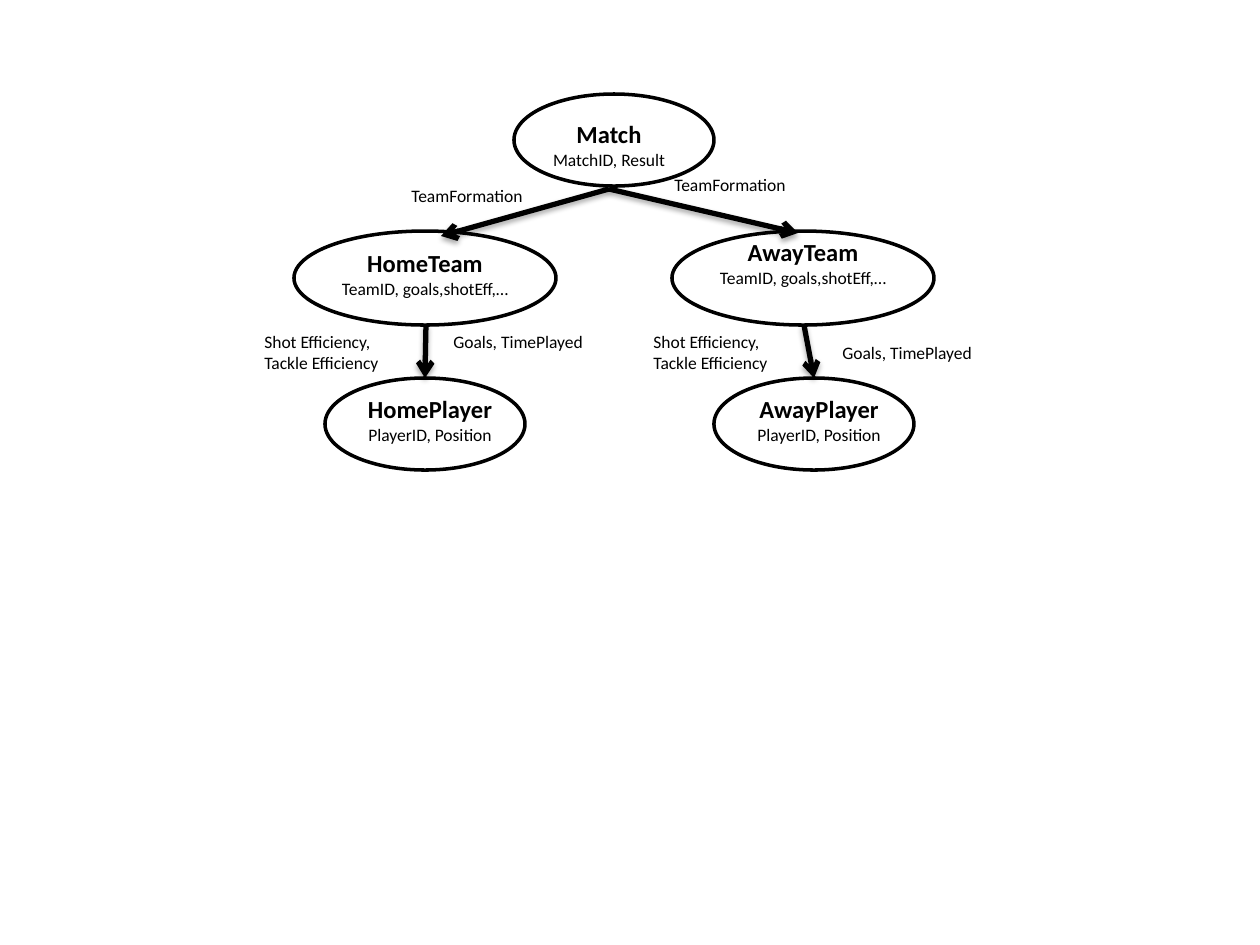
"""Builds a slide with an entity diagram of a match, its teams and their players."""
from lxml import etree
from pptx import Presentation
from pptx.dml.color import RGBColor
from pptx.enum.shapes import MSO_CONNECTOR, MSO_SHAPE
from pptx.enum.text import MSO_AUTO_SIZE, PP_ALIGN
from pptx.oxml import parse_xml
from pptx.oxml.ns import nsdecls, qn
from pptx.util import Emu, Inches, Pt

BLACK = RGBColor(0, 0, 0)
SCALE = 914400 / 126
SHADOW = (
    f'<a:effectLst {nsdecls("a")}>'
    '<a:outerShdw blurRad="40000" dist="23000" dir="5400000" rotWithShape="0">'
    '<a:srgbClr val="000000"><a:alpha val="35000"/></a:srgbClr>'
    '</a:outerShdw></a:effectLst>'
)


def px(*lengths):
    return [Emu(round(length * SCALE)) for length in lengths]


class Diagram:
    font = "Calibri"
    name_size, detail_size = 14, 10
    outline, arrow_width = 2, 3

    def __init__(self, slide):
        self.slide = slide

    def text(self, shapes, box, lines, align=PP_ALIGN.LEFT):
        frame = shapes.add_textbox(*px(*box)).text_frame
        frame.word_wrap = True
        frame.auto_size = MSO_AUTO_SIZE.SHAPE_TO_FIT_TEXT
        for index, (words, size, bold) in enumerate(lines):
            paragraph = frame.add_paragraph() if index else frame.paragraphs[0]
            paragraph.alignment = align
            run = paragraph.add_run()
            run.text = words
            run.font.name = self.font
            run.font.size = Pt(size)
            run.font.bold = bold
            run.font.color.rgb = BLACK

    def entity(self, name, details, oval_box, text_box):
        shapes = self.slide.shapes.add_group_shape().shapes
        oval = shapes.add_shape(MSO_SHAPE.OVAL, *px(*oval_box))
        oval.shadow.inherit = False
        oval.fill.background()
        oval.line.color.rgb = BLACK
        oval.line.width = Pt(self.outline)
        lines = [(name, self.name_size, True), (details, self.detail_size, False)]
        self.text(shapes, text_box, lines, PP_ALIGN.CENTER)

    def label(self, words, left, top, height=34):
        lines = [(words, self.detail_size, False)]
        self.text(self.slide.shapes, (left, top, 158, height), lines)

    def arrow(self, start, end):
        connector = self.slide.shapes.add_connector(
            MSO_CONNECTOR.STRAIGHT, *px(*start, *end))
        connector.line.color.rgb = BLACK
        connector.line.width = Pt(self.arrow_width)
        line = connector.line._get_or_add_ln()
        etree.SubElement(line, qn("a:tailEnd"), type="arrow")
        connector._element.spPr.append(parse_xml(SHADOW))


presentation = Presentation()
presentation.slide_width = Inches(10)
presentation.slide_height = Inches(7.5)
diagram = Diagram(presentation.slides.add_slide(presentation.slide_layouts[6]))

diagram.entity("Match", "MatchID, Result", (514, 94, 200, 92), (525, 113, 168, 63))

match_foot = (609, 189)
sides = [
    ("Home", 294, 325, 242, (441, 236), (399, 179), 325),
    ("Away", 672, 714, 231, (798, 233), (662, 168), 336),
]
for side, team_x, player_x, team_text_y, team_tip, formation, goals_y in sides:
    diagram.entity(f"{side}Team", "TeamID, goals,shotEff,…",
                   (team_x, 231, 262, 94), (team_x + 21, team_text_y, 220, 63))
    diagram.entity(f"{side}Player", "PlayerID, Position",
                   (player_x, 378, 200, 92), (player_x + 21, 388, 168, 63))
    diagram.arrow(match_foot, team_tip)
    diagram.arrow((team_x + 132, 325), (player_x + 100, 378))
    diagram.label("TeamFormation", *formation)
    diagram.label("Shot Efficiency, Tackle Efficiency", player_x - 73, 325, 55)
    diagram.label("Goals, TimePlayed", player_x + 116, goals_y)

presentation.save("out.pptx")
